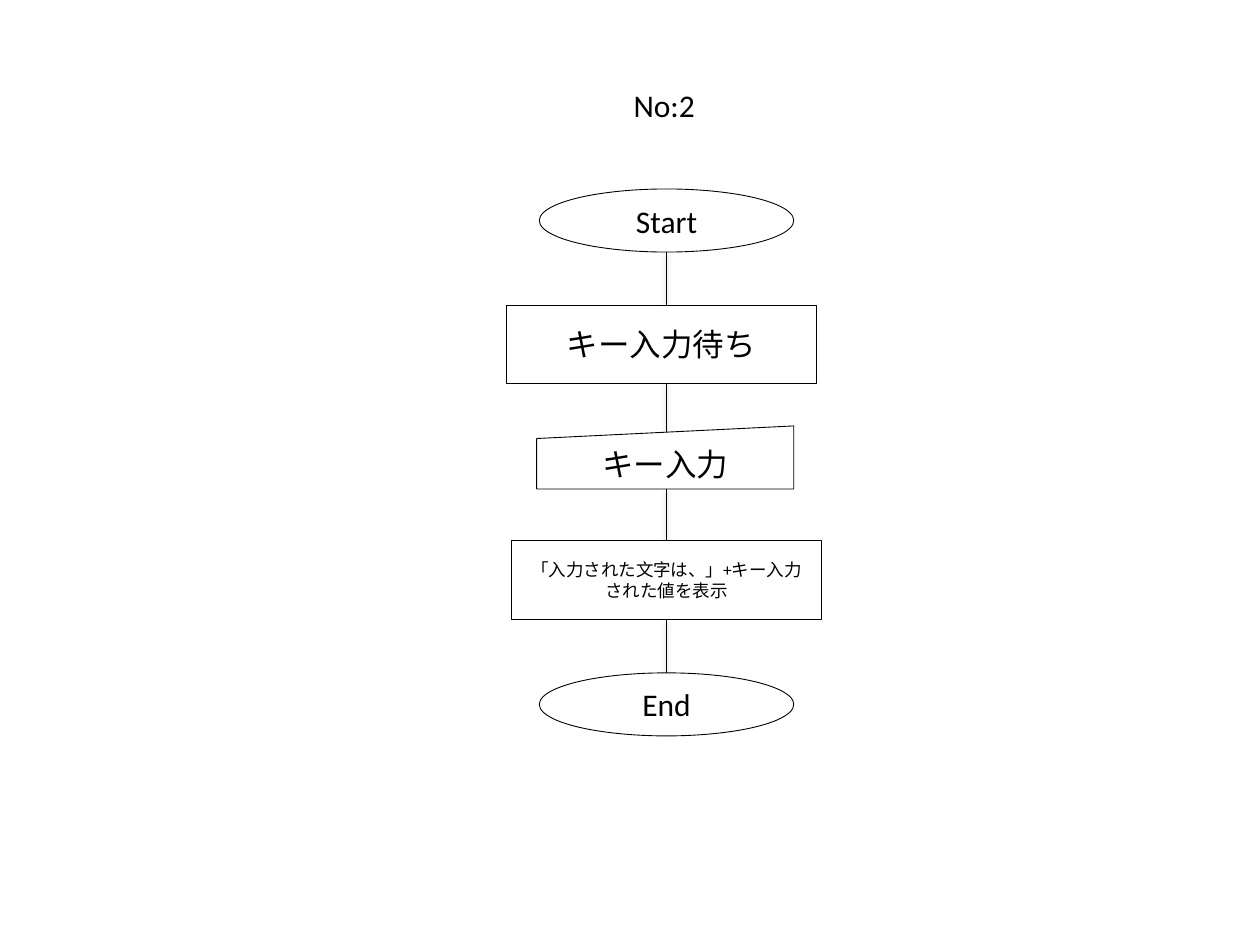
import dataclasses
import itertools

import pptx
import pptx.dml.color
import pptx.enum.shapes
import pptx.enum.text
import pptx.util

SHAPES = pptx.enum.shapes.MSO_SHAPE


@dataclasses.dataclass(frozen=True)
class Theme:
    font: str = "Calibri"
    ink: pptx.dml.color.RGBColor = pptx.dml.color.RGBColor(0, 0, 0)
    paper: pptx.dml.color.RGBColor = pptx.dml.color.RGBColor(255, 255, 255)
    large: int = 18
    small: int = 10
    line: float = 0.5
    hairline: float = 0.25


@dataclasses.dataclass(frozen=True)
class Step:
    text: str
    kind: SHAPES
    left: float
    top: float
    width: float
    height: float
    size: int
    line: float
    entry: float = 0


THEME = Theme()
WIDTH = pptx.util.Inches(10)
HEIGHT = pptx.util.Inches(7.5)
AXIS = 52.9
STEPS = (
    Step("Start", SHAPES.OVAL, 42.8, 20, 20.2, 6.67, THEME.large, THEME.line),
    Step("キー入力待ち", SHAPES.RECTANGLE, 40.2, 32.27, 24.6, 8.27, THEME.large, THEME.hairline),
    Step("キー入力", SHAPES.FLOWCHART_MANUAL_INPUT, 42.6, 45.07, 20.4, 6.67, THEME.large, THEME.line, 1.2),
    Step("「入力された文字は、」+キー入力された値を表示", SHAPES.RECTANGLE, 40.6, 57.2, 24.6, 8.4,
         THEME.small, THEME.line),
    Step("End", SHAPES.OVAL, 42.8, 71.2, 20.2, 6.67, THEME.large, THEME.line),
)


def across(percent):
    """Turn a percentage of the slide width into a length."""
    return round(WIDTH * percent / 100)


def down(percent):
    """Turn a percentage of the slide height into a length."""
    return round(HEIGHT * percent / 100)


def add_text(para, text, size):
    """Add one run in the theme's font and ink."""
    span = para.add_run()
    span.text = text
    span.font.name = THEME.font
    span.font.size = pptx.util.Pt(size)
    span.font.color.rgb = THEME.ink


def add_label(page, text, left, top, width, height):
    """Add a heading that grows with its text."""
    box = page.shapes.add_textbox(across(left), down(top), across(width), down(height))
    box.text_frame.word_wrap = False
    box.text_frame.auto_size = pptx.enum.text.MSO_AUTO_SIZE.SHAPE_TO_FIT_TEXT
    add_text(box.text_frame.paragraphs[0], text, THEME.large)


def add_link(page, upper, lower):
    """Join two successive steps along the chart's axis."""
    link = page.shapes.add_connector(
        pptx.enum.shapes.MSO_CONNECTOR.STRAIGHT,
        across(AXIS), down(upper.top + upper.height),
        across(AXIS), down(lower.top + lower.entry))
    link.line.color.rgb = THEME.ink
    link.line.width = pptx.util.Pt(THEME.line)


def add_step(page, step):
    """Add one outlined flowchart step with centred text."""
    box = page.shapes.add_shape(
        step.kind, across(step.left), down(step.top), across(step.width), down(step.height))
    box.shadow.inherit = False
    box.fill.solid()
    box.fill.fore_color.rgb = THEME.paper
    box.line.color.rgb = THEME.ink
    box.line.width = pptx.util.Pt(step.line)
    box.text_frame.word_wrap = True
    box.text_frame.vertical_anchor = pptx.enum.text.MSO_ANCHOR.MIDDLE
    para = box.text_frame.paragraphs[0]
    para.alignment = pptx.enum.text.PP_ALIGN.CENTER
    add_text(para, step.text, step.size)


def main():
    """Build the flowchart slide and save it."""
    deck = pptx.Presentation()
    deck.slide_width, deck.slide_height = WIDTH, HEIGHT
    page = deck.slides.add_slide(deck.slide_layouts[6])
    add_label(page, "No:2", 49.3, 8.4, 7.1, 5.33)
    for upper, lower in itertools.pairwise(STEPS):
        add_link(page, upper, lower)
    for step in STEPS:
        add_step(page, step)
    deck.save("out.pptx")


if __name__ == "__main__":
    main()
